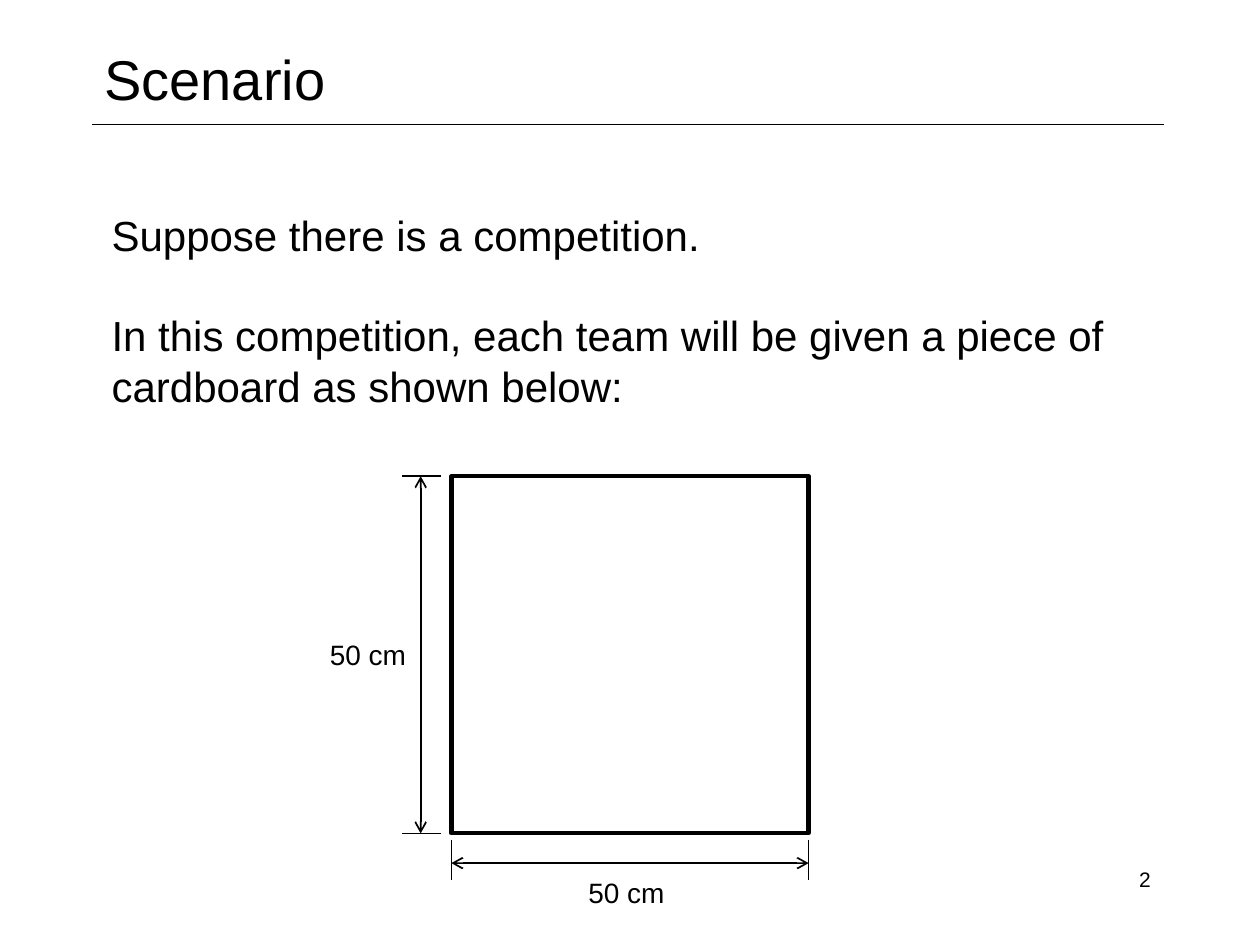
from dataclasses import dataclass

from lxml.etree import SubElement
from pptx import Presentation
from pptx.dml.color import RGBColor
from pptx.enum.shapes import MSO_CONNECTOR, MSO_SHAPE
from pptx.enum.text import MSO_ANCHOR, PP_ALIGN
from pptx.oxml.ns import qn
from pptx.util import Cm, Pt


@dataclass(frozen=True)
class Theme:
    font: str = "Arial"
    ink: RGBColor = RGBColor(0, 0, 0)
    title: float = 32
    body: float = 24
    label: float = 16
    number: float = 12
    hair: float = 0.25
    thin: float = 1
    thick: float = 2.5


class Page:
    def __init__(self, deck, theme):
        self.theme = theme
        self.slide = deck.slides.add_slide(deck.slide_layouts[5])

    def style(self, para, size, align=PP_ALIGN.LEFT):
        para.alignment = align
        para.font.name = self.theme.font
        para.font.size = Pt(size)
        para.font.color.rgb = self.theme.ink

    def title(self, text, left, top, width, height):
        shape = self.slide.shapes.title
        shape.left, shape.top = Cm(left), Cm(top)
        shape.width, shape.height = Cm(width), Cm(height)
        frame = shape.text_frame
        frame.text = text
        frame.vertical_anchor = MSO_ANCHOR.MIDDLE
        self.style(frame.paragraphs[0], self.theme.title)

    def text(self, lines, box, size, align=PP_ALIGN.LEFT, pitch=None):
        frame = self.slide.shapes.add_textbox(*map(Cm, box)).text_frame
        frame.word_wrap = True
        frame.text = "\n".join(lines)
        for para in frame.paragraphs:
            self.style(para, size, align)
            if pitch:
                para.line_spacing = Pt(pitch)
        # One empty line's worth of space between paragraphs
        for para in frame.paragraphs[:-1]:
            para.space_after = Pt(pitch)

    def square(self, left, top, side):
        shape = self.slide.shapes.add_shape(
            MSO_SHAPE.RECTANGLE, Cm(left), Cm(top), Cm(side), Cm(side))
        shape.shadow.inherit = False
        shape.fill.background()
        shape.line.color.rgb = self.theme.ink
        shape.line.width = Pt(self.theme.thick)

    def line(self, start, end, width, arrows=False):
        link = self.slide.shapes.add_connector(
            MSO_CONNECTOR.STRAIGHT, *map(Cm, (*start, *end)))
        link.line.color.rgb = self.theme.ink
        link.line.width = Pt(width)
        props = link.element.spPr
        if arrows:
            for tag in ("a:headEnd", "a:tailEnd"):
                SubElement(props.find(qn("a:ln")), qn(tag), type="arrow")
        SubElement(props, qn("a:effectLst"))


def main():
    deck = Presentation()
    deck.slide_width, deck.slide_height = Cm(25.4), Cm(19.05)
    theme = Theme()
    page = Page(deck, theme)

    # Heading and rule
    page.line((1.85, 2.51), (23.47, 2.51), theme.hair)
    page.title("Scenario", 1.85, 0.74, 17.25, 1.68)

    # Story
    page.text(
        ["Suppose there is a competition.",
         "In this competition, each team will be given a piece of "
         "cardboard as shown below:"],
        (2, 4.09, 22.76, 4.37), theme.body, pitch=28.8)

    # Cardboard
    left, top, side = 9.1, 9.6, 7.2
    right, base = left + side, top + side
    page.square(left, top, side)

    # Dimension ticks and arrows
    for x in (left, right):
        page.line((x, base + 0.13), (x, base + 0.94), theme.thin)
    for y in (top, base):
        page.line((left - 0.2, y), (left - 1, y), theme.thin)
    page.line((8.48, top), (8.48, base), theme.thin, arrows=True)
    page.line((right, 17.4), (left, 17.4), theme.thin, arrows=True)

    # Dimension labels
    for x, y in ((11.61, 17.53), (6.4, 12.73)):
        page.text(["50 cm"], (x, y, 2.34, 0.94), theme.label)

    # Slide number
    page.text(["2"], (17.53, 17.35, 5.92, 1.02), theme.number, PP_ALIGN.RIGHT)

    deck.save("out.pptx")


if __name__ == "__main__":
    main()
